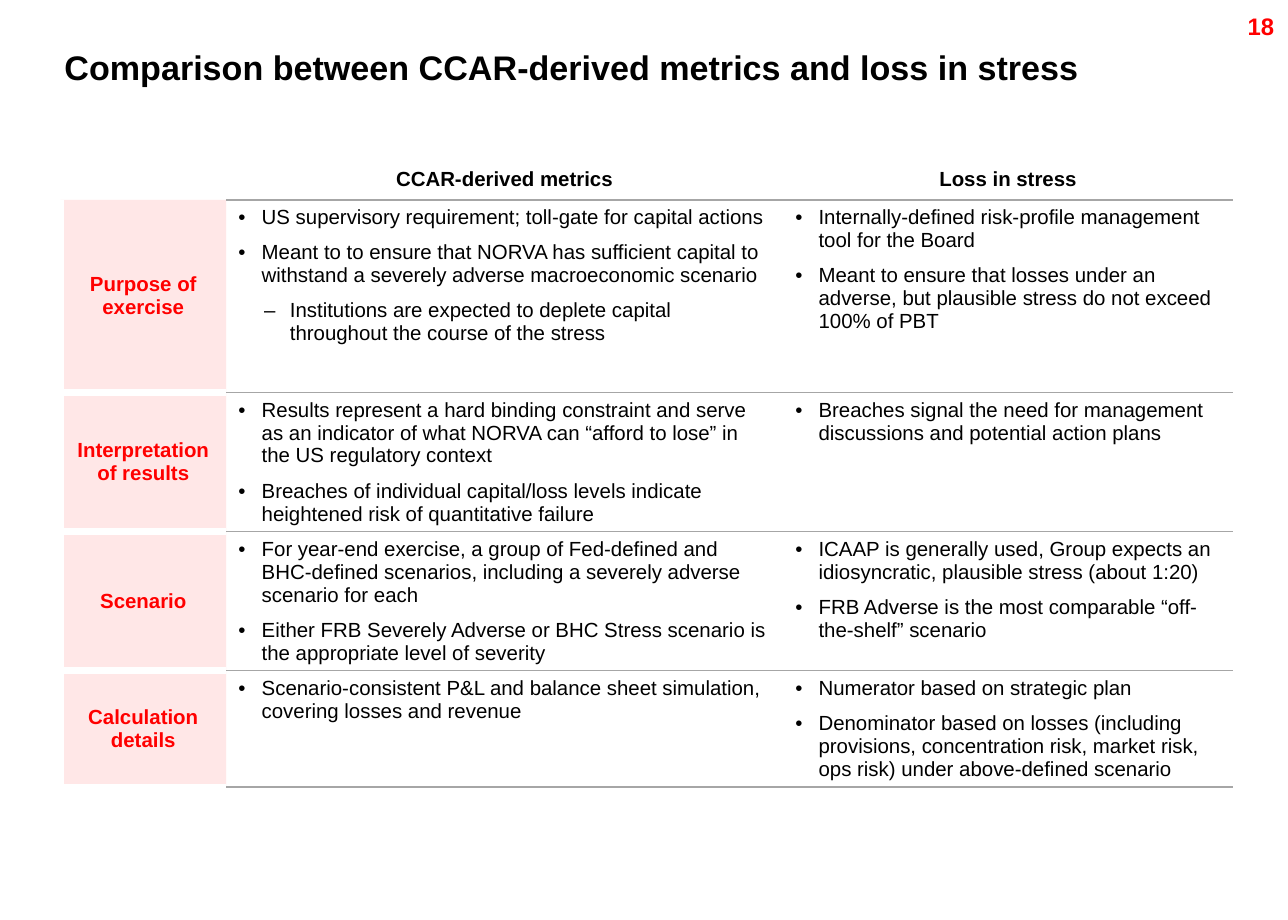
from dataclasses import dataclass

from lxml import etree
from pptx import Presentation
from pptx import util as u
from pptx.dml.color import RGBColor
from pptx.enum import text
from pptx.oxml import ns


@dataclass(frozen=True)
class Theme:
    face: str = "Arial"
    ink: str = "000000"
    red: str = "FF0000"
    pink: str = "FFCCCC"
    grey: str = "A6A6A6"
    white: str = "FFFFFF"
    head: int = 20
    page: int = 14
    body: int = 12


T = Theme()
WIDE, HIGH = u.Inches(10.5), u.Inches(7.5)
COLS = (1.35, 4.54, 3.67)
ROWS = (0.28, 1.57, 1.13, 1.13, 0.95)
HEADS = ("CCAR-derived metrics", "Loss in stress")
TOPICS = (
    ("Purpose of exercise",
     ((0, "US supervisory requirement; toll-gate for capital actions"),
      (0, "Meant to to ensure that NORVA has sufficient capital to withstand a "
          "severely adverse macroeconomic scenario"),
      (1, "Institutions are expected to deplete capital throughout the course of the stress")),
     ((0, "Internally-defined risk-profile management tool for the Board"),
      (0, "Meant to ensure that losses under an adverse, but plausible stress "
          "do not exceed 100% of PBT"))),
    ("Interpretation of results",
     ((0, "Results represent a hard binding constraint and serve as an indicator of "
          "what NORVA can “afford to lose” in the US regulatory context"),
      (0, "Breaches of individual capital/loss levels indicate heightened risk of "
          "quantitative failure")),
     ((0, "Breaches signal the need for management discussions and potential action plans"),)),
    ("Scenario",
     ((0, "For year-end exercise, a group of Fed-defined and BHC-defined scenarios, "
          "including a severely adverse scenario for each"),
      (0, "Either FRB Severely Adverse or BHC Stress scenario is the appropriate "
          "level of severity")),
     ((0, "ICAAP is generally used, Group expects an idiosyncratic, plausible stress "
          "(about 1:20)"),
      (0, "FRB Adverse is the most comparable “off-the-shelf” scenario"))),
    ("Calculation details",
     ((0, "Scenario-consistent P&L and balance sheet simulation, covering losses and revenue"),),
     ((0, "Numerator based on strategic plan"),
      (0, "Denominator based on losses (including provisions, concentration risk, "
          "market risk, ops risk) under above-defined scenario"))),
)
LEVELS = (("•", 0.19, 0.19), ("–", 0.42, 0.21))


def place(shape, left, top, wide, high):
    shape.left, shape.width = int(WIDE * left), int(WIDE * wide)
    shape.top, shape.height = int(HIGH * top), int(HIGH * high)


def style(para, size, color=T.ink, bold=True, align=text.PP_ALIGN.CENTER):
    font = para.font
    font.name, font.size, font.bold = T.face, u.Pt(size), bold
    font.color.rgb = RGBColor.from_string(color)
    para.alignment = align


def trim(frame, anchor):
    frame.margin_left = frame.margin_right = 0
    frame.margin_top = frame.margin_bottom = 0
    frame.vertical_anchor = anchor
    frame.word_wrap = True
    frame.auto_size = text.MSO_AUTO_SIZE.NONE


def title(slide, words):
    shape = slide.shapes.title
    place(shape, 0.05, 0.056, 0.9, 0.11)
    shape.text = words
    trim(shape.text_frame, text.MSO_ANCHOR.TOP)
    para = shape.text_frame.paragraphs[0]
    para.line_spacing = 0.88
    style(para, T.head, align=text.PP_ALIGN.LEFT)


def number(slide, words):
    box = slide.shapes.add_textbox(0, 0, 0, 0)
    place(box, 0.958, 0, 0.042, 0.056)
    trim(box.text_frame, text.MSO_ANCHOR.MIDDLE)
    para = box.text_frame.paragraphs[0]
    para.text = words
    style(para, T.page, T.red)


def border(cell, **sides):
    props = cell._tc.get_or_add_tcPr()
    for spot, side in enumerate("LRTB"):
        line = etree.Element(ns.qn(f"a:ln{side}"))
        if side in sides:
            color, width = sides[side]
            line.set("w", str(u.Pt(width)))
            fill = etree.SubElement(line, ns.qn("a:solidFill"))
            etree.SubElement(fill, ns.qn("a:srgbClr"), val=color)
        else:
            etree.SubElement(line, ns.qn("a:noFill"))
        props.insert(spot, line)


def header(cell, words, rule):
    cell.margin_top = u.Inches(0.05 if words else 0)
    cell.margin_bottom = 0
    cell.fill.background()
    para = cell.text_frame.paragraphs[0]
    para.text = words
    para.line_spacing = 0.8
    style(para, T.body)
    border(cell, **rule)


def label(cell, words, first):
    cell.vertical_anchor = text.MSO_ANCHOR.MIDDLE
    cell.fill.solid()
    cell.fill.fore_color.rgb = RGBColor.from_string(T.pink)
    tint = cell._tc.tcPr.find(".//" + ns.qn("a:srgbClr"))
    etree.SubElement(tint, ns.qn("a:alpha"), val="46000")
    para = cell.text_frame.paragraphs[0]
    para.text = words
    style(para, T.body, T.red)
    gap = (T.white, 4.5)
    sides = {"L": gap, "B": gap}
    if not first:
        sides["T"] = gap
    border(cell, **sides)


def points(cell, items):
    cell.fill.background()
    frame = cell.text_frame
    for spot, (level, words) in enumerate(items):
        para = frame.add_paragraph() if spot else frame.paragraphs[0]
        para.text = words
        para.level = level
        mark, left, hang = LEVELS[level]
        props = para._p.get_or_add_pPr()
        props.set("marL", str(u.Inches(left)))
        props.set("indent", str(-u.Inches(hang)))
        etree.SubElement(props, ns.qn("a:buFont"), typeface=T.face)
        etree.SubElement(props, ns.qn("a:buChar"), char=mark)
        if spot:
            para.space_before = u.Pt(0.6 * T.body)
        style(para, T.body, bold=False, align=text.PP_ALIGN.LEFT)
    border(cell, T=(T.grey, 1), B=(T.grey, 1))


def matrix(slide):
    frame = slide.shapes.add_table(
        len(ROWS), len(COLS), int(WIDE * 0.047), int(HIGH * 0.18),
        u.Inches(sum(COLS)), u.Inches(sum(ROWS)))
    table = frame.table
    table.first_row = table.horz_banding = False
    for col, wide in zip(table.columns, COLS):
        col.width = u.Inches(wide)
    for row, high in zip(table.rows, ROWS):
        row.height = u.Inches(high)
    for col, words in enumerate(("",) + HEADS):
        header(table.cell(0, col), words, {"B": (T.grey, 1)} if words else {})
    for row, (topic, *lists) in enumerate(TOPICS, 1):
        label(table.cell(row, 0), topic, row == 1)
        for col, items in enumerate(lists, 1):
            points(table.cell(row, col), items)


def main():
    deck = Presentation()
    deck.slide_width, deck.slide_height = WIDE, HIGH
    slide = deck.slides.add_slide(deck.slide_layouts[5])
    number(slide, "18")
    title(slide, "Comparison between CCAR-derived metrics and loss in stress")
    matrix(slide)
    deck.save("out.pptx")


if __name__ == "__main__":
    main()
